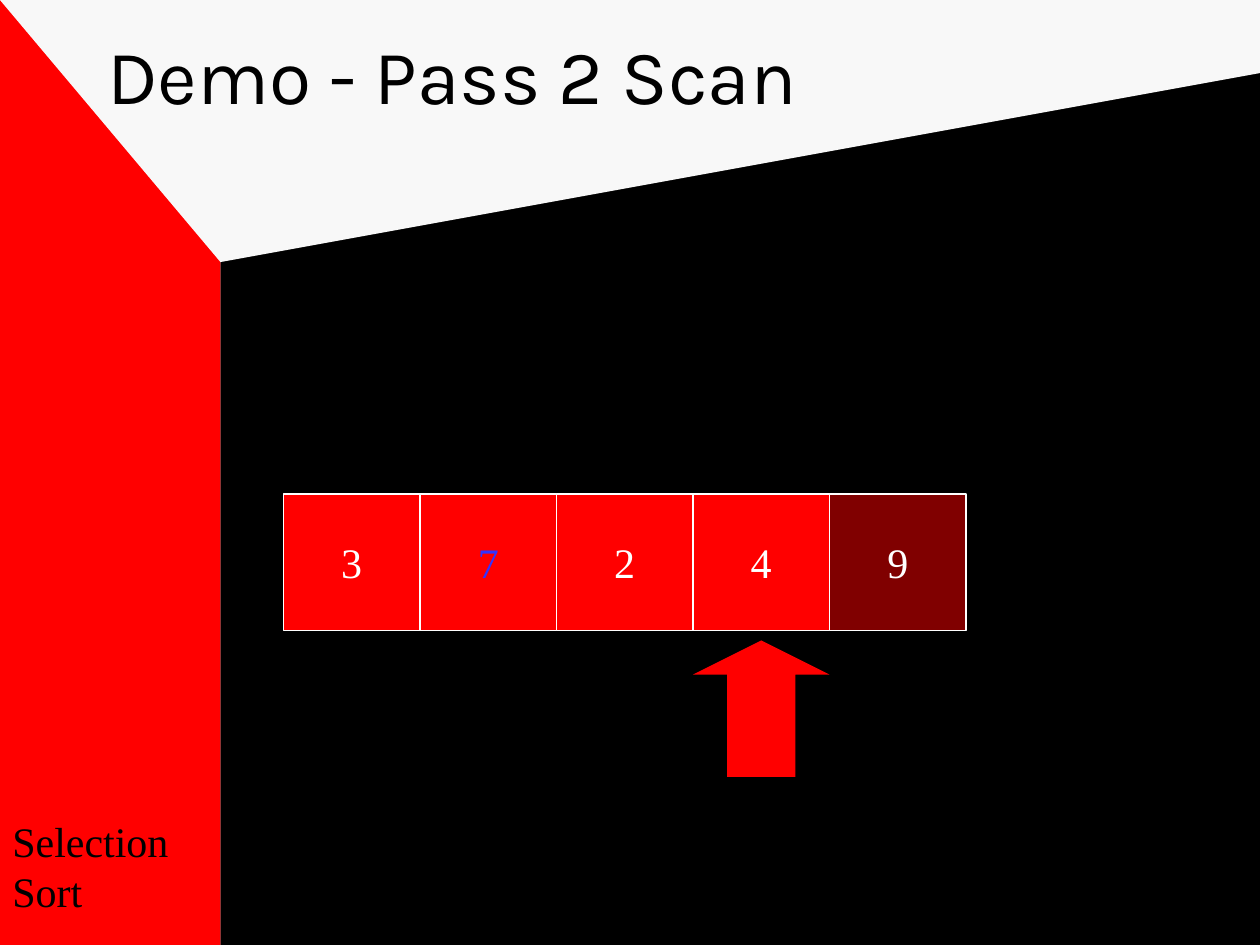
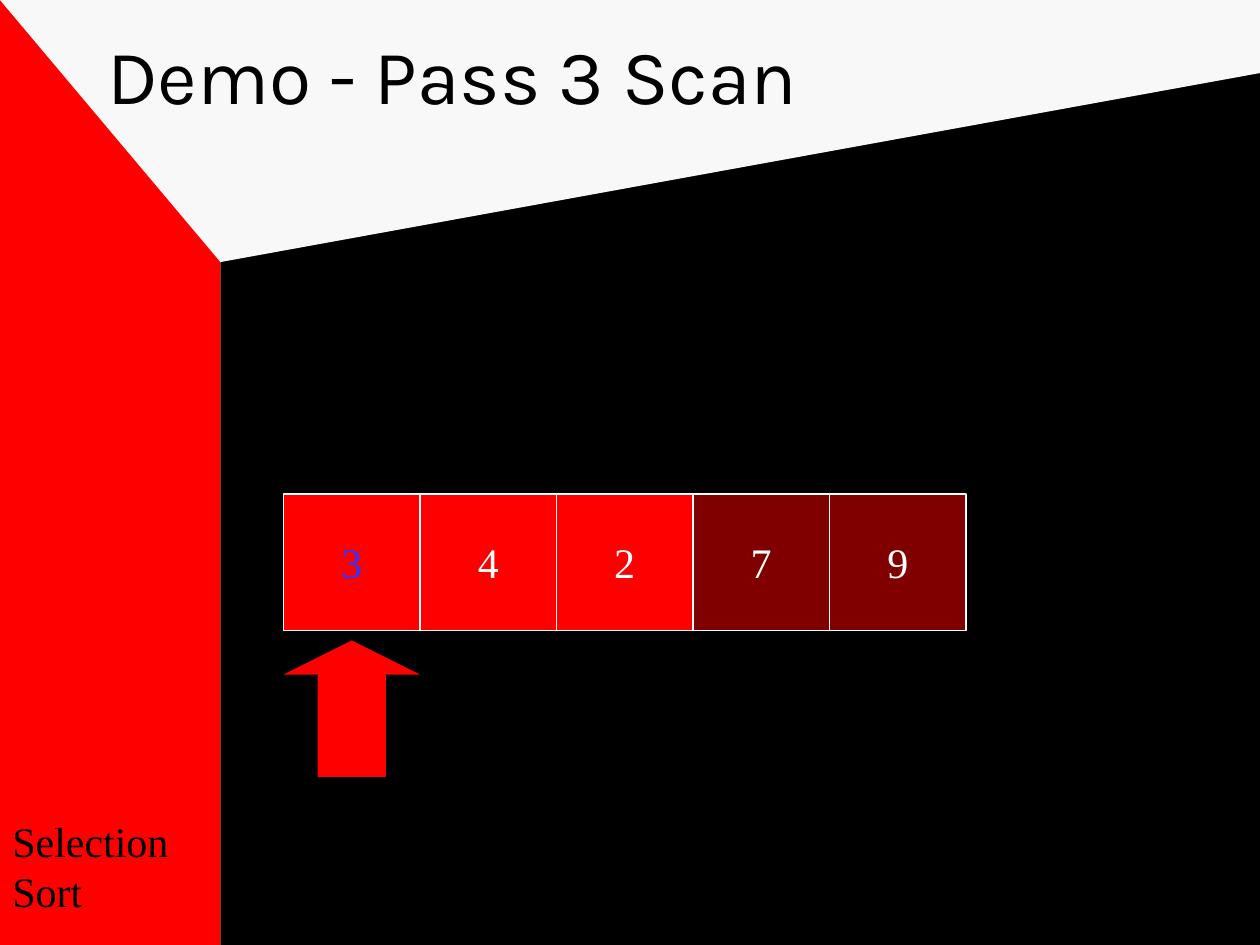
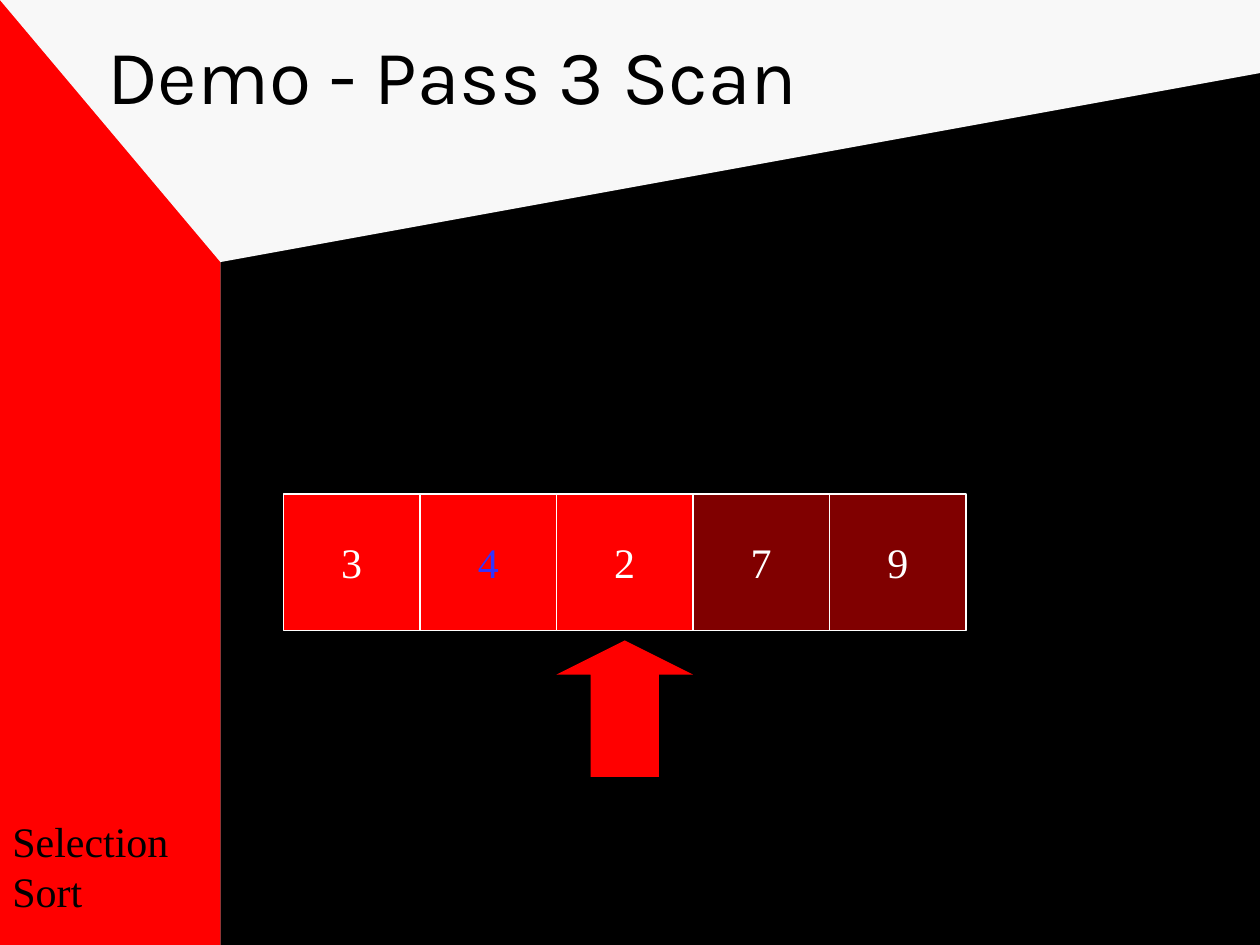
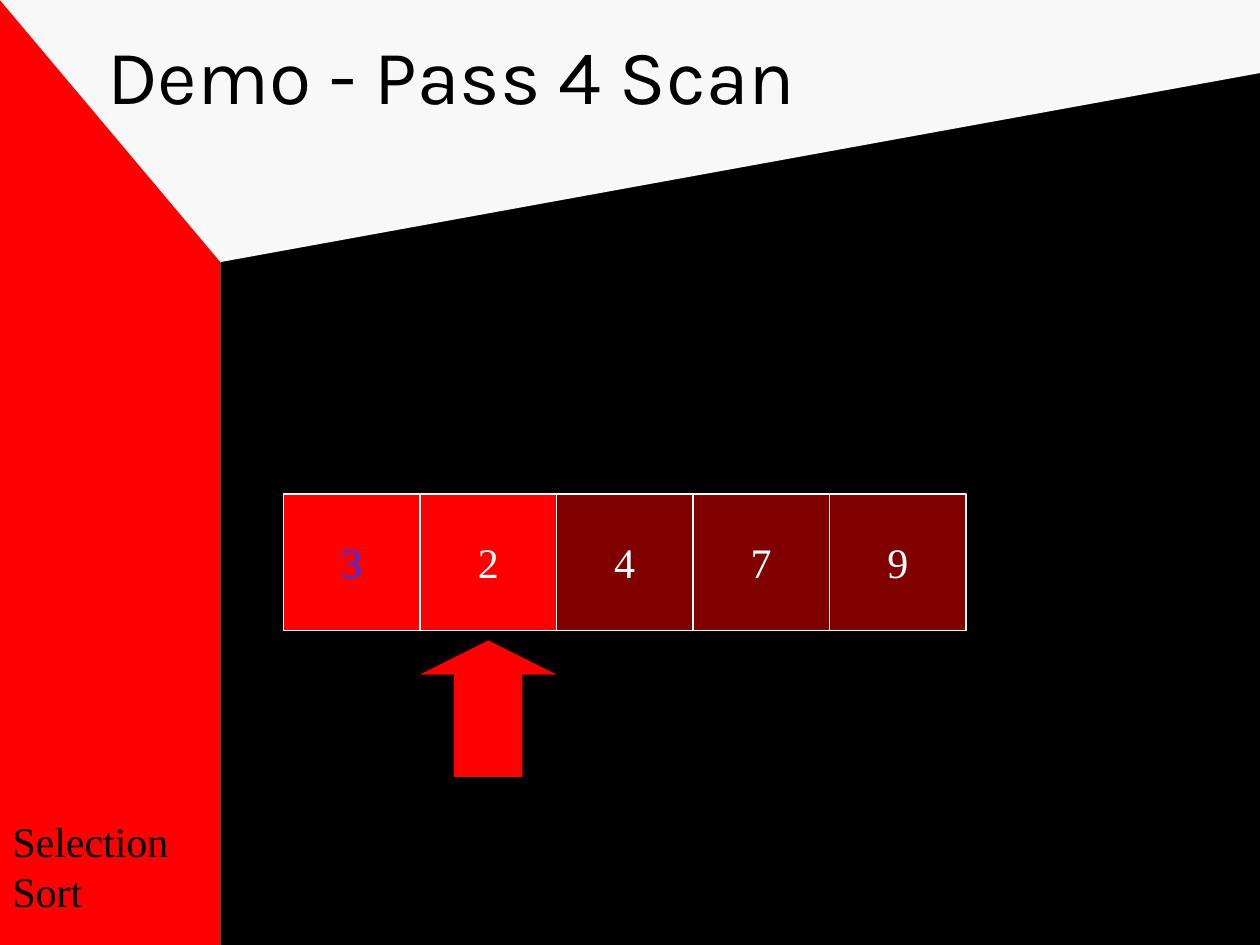
from lxml.etree import SubElement
from pptx import Presentation
from pptx.dml.color import RGBColor
from pptx.enum.shapes import MSO_SHAPE
from pptx.enum.text import MSO_ANCHOR, MSO_AUTO_SIZE, PP_ALIGN
from pptx.oxml.ns import qn
from pptx.util import Inches, Pt

COLORS = {
    "backdrop": "808080",
    "floor": "000000",
    "red": "FF0000",
    "ceiling": "F8F8F8",
    "dark": "000000",
    "white": "FFFFFF",
    "largest": "3333FF",
}
TITLE_FONT = "Karla"
BODY_FONT = "Times New Roman"
TITLE_ONLY = 5

WIDTH, HEIGHT = Inches(10), Inches(7.5)
SIDEBAR = Inches(1.75)
CELL = Inches(6.5) // 6
ARRAY_LEFT, ARRAY_TOP = Inches(2.25), Inches(3.92)
ARROW_GAP = Inches(0.08)

# pass number, values, index of largest so far, index scanned, sorted count
SCANS = [
    (2, [3, 7, 2, 4, 9], 1, 3, 1),
    (3, [3, 4, 2, 7, 9], 0, 0, 2),
    (3, [3, 4, 2, 7, 9], 1, 2, 2),
    (4, [3, 2, 4, 7, 9], 0, 1, 3),
]


def rgb(name):
    return RGBColor.from_string(COLORS[name])


def write(tf, text, font=BODY_FONT, size=24, color="dark", align=PP_ALIGN.LEFT,
          anchor=MSO_ANCHOR.TOP, wrap=True, before=0):
    tf.word_wrap = wrap
    tf.vertical_anchor = anchor
    p = tf.paragraphs[0]
    p.text = text
    p.alignment = align
    p.space_before = Pt(before)
    for r in p.runs:
        r.font.name = font
        r.font.size = Pt(size)
        r.font.color.rgb = rgb(color)


def paint(sp, fill, line=None, alpha=None):
    """Fill a shape, with an optional outline and opacity in percent."""
    sp.shadow.inherit = False
    sp.fill.solid()
    sp.fill.fore_color.rgb = rgb(fill)
    if alpha:
        clr = sp._element.spPr.find(qn("a:solidFill"))[0]
        SubElement(clr, qn("a:alpha")).set("val", str(alpha * 1000))
    if line:
        sp.line.color.rgb = rgb(line)
        sp.line.width = Pt(0.75)
    else:
        sp.line.fill.background()


def add_room(shapes):
    """Draw the floor, the side wall and the slanted ceiling as one group."""
    room = shapes.add_group_shape()
    rect = MSO_SHAPE.RECTANGLE
    paint(room.shapes.add_shape(rect, SIDEBAR, 0, WIDTH - SIDEBAR, HEIGHT), "floor")
    paint(room.shapes.add_shape(rect, 0, 0, SIDEBAR, HEIGHT), "red")
    outline = room.shapes.build_freeform(0, 0)
    outline.add_line_segments(
        [(SIDEBAR, Inches(2.08)), (WIDTH, Inches(0.58)), (WIDTH, 0)])
    paint(outline.convert_to_shape(), "ceiling")
    return room


def add_topic(shapes):
    box = shapes.add_textbox(0, Inches(6.42), SIDEBAR, Inches(0.9))
    write(box.text_frame, "Selection\nSort", before=15)
    box.text_frame.auto_size = MSO_AUTO_SIZE.SHAPE_TO_FIT_TEXT
    return box


def set_up_master(master, slide):
    """Build the shared parts on a slide, then move them behind the master's own."""
    fill = master.background.fill
    fill.solid()
    fill.fore_color.rgb = rgb("backdrop")
    parts = [add_room(slide.shapes), add_topic(slide.shapes)]
    tree = master.shapes._spTree
    shape_id = 100
    for i, part in enumerate(parts):
        for props in part._element.xpath(".//p:cNvPr"):
            props.set("id", str(shape_id))
            shape_id += 1
        tree.insert(2 + i, part._element)


def set_title(slide, text):
    title = slide.shapes.title
    title.left, title.top = Inches(0.75), Inches(0.17)
    title.width, title.height = Inches(8.5), Inches(1.25)
    write(title.text_frame, text, font=TITLE_FONT, size=44)
    title.text_frame.auto_size = MSO_AUTO_SIZE.NONE


def add_array(shapes, left, top, values, largest, sorted_count):
    """Draw a row of cells; the last sorted_count ones are faded."""
    first_sorted = len(values) - sorted_count
    for i, value in enumerate(values):
        cell = shapes.add_shape(
            MSO_SHAPE.RECTANGLE, left + i * CELL, top, CELL, CELL)
        paint(cell, "red", line="white", alpha=50 if i >= first_sorted else None)
        write(cell.text_frame, str(value),
              color="largest" if i == largest else "white",
              align=PP_ALIGN.CENTER, anchor=MSO_ANCHOR.MIDDLE, wrap=False)


def add_pointer(shapes, left, top, index):
    arrow = shapes.add_shape(
        MSO_SHAPE.UP_ARROW, left + index * CELL, top, CELL, CELL)
    arrow.adjustments[0] = 0.5
    arrow.adjustments[1] = 0.25
    paint(arrow, "red")


def add_scan_slide(prs, number, values, largest, scanned, sorted_count):
    slide = prs.slides.add_slide(prs.slide_layouts[TITLE_ONLY])
    set_title(slide, f"Demo - Pass {number} Scan")
    add_array(slide.shapes, ARRAY_LEFT, ARRAY_TOP, values, largest, sorted_count)
    add_pointer(slide.shapes, ARRAY_LEFT, ARRAY_TOP + CELL + ARROW_GAP, scanned)


def main():
    prs = Presentation()
    prs.slide_width, prs.slide_height = WIDTH, HEIGHT
    for scan in SCANS:
        add_scan_slide(prs, *scan)
    set_up_master(prs.slide_master, prs.slides[0])
    prs.save("out.pptx")


if __name__ == "__main__":
    main()
